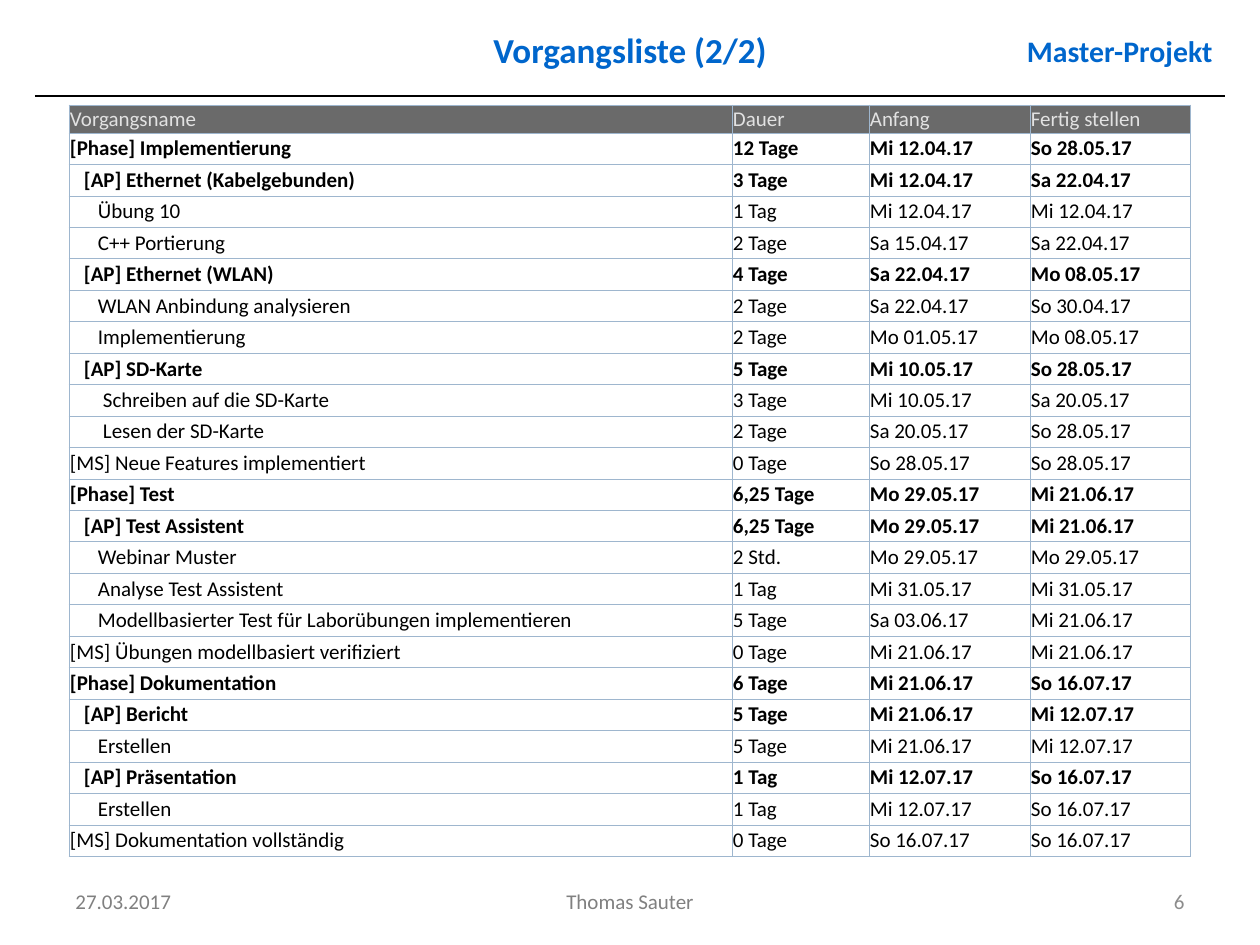
"""Builds the task list slide (2/2) of the Master-Projekt plan."""
import pptx
import pptx.dml.color
import pptx.enum.shapes
import pptx.enum.text
import pptx.oxml
import pptx.oxml.ns
import pptx.util

ALIGN = pptx.enum.text.PP_ALIGN
MIDDLE = pptx.enum.text.MSO_ANCHOR.MIDDLE
PX = 914400 / 126
BLUE, GREY, BLACK, WHITE = "0066CC", "808080", "000000", "FFFFFF"
HEADER_FILL, HEADER_TEXT, BORDER = "6A6A6A", "E2E2E2", "9EB6CE"

COLUMNS = [("Vorgangsname", 663), ("Dauer", 137), ("Anfang", 161), ("Fertig stellen", 160)]
AP, STEP, CARD_STEP = 14, 28, 33
TASKS = [
    (0, "[Phase] Implementierung", "12 Tage", "Mi 12.04.17", "So 28.05.17"),
    (AP, "[AP] Ethernet (Kabelgebunden)", "3 Tage", "Mi 12.04.17", "Sa 22.04.17"),
    (STEP, "Übung 10", "1 Tag", "Mi 12.04.17", "Mi 12.04.17"),
    (STEP, "C++ Portierung", "2 Tage", "Sa 15.04.17", "Sa 22.04.17"),
    (AP, "[AP] Ethernet (WLAN)", "4 Tage", "Sa 22.04.17", "Mo 08.05.17"),
    (STEP, "WLAN Anbindung analysieren", "2 Tage", "Sa 22.04.17", "So 30.04.17"),
    (STEP, "Implementierung", "2 Tage", "Mo 01.05.17", "Mo 08.05.17"),
    (AP, "[AP] SD-Karte", "5 Tage", "Mi 10.05.17", "So 28.05.17"),
    (CARD_STEP, "Schreiben auf die SD-Karte", "3 Tage", "Mi 10.05.17", "Sa 20.05.17"),
    (CARD_STEP, "Lesen der SD-Karte", "2 Tage", "Sa 20.05.17", "So 28.05.17"),
    (0, "[MS] Neue Features implementiert", "0 Tage", "So 28.05.17", "So 28.05.17"),
    (0, "[Phase] Test", "6,25 Tage", "Mo 29.05.17", "Mi 21.06.17"),
    (AP, "[AP] Test Assistent", "6,25 Tage", "Mo 29.05.17", "Mi 21.06.17"),
    (STEP, "Webinar Muster", "2 Std.", "Mo 29.05.17", "Mo 29.05.17"),
    (STEP, "Analyse Test Assistent", "1 Tag", "Mi 31.05.17", "Mi 31.05.17"),
    (STEP, "Modellbasierter Test für Laborübungen implementieren", "5 Tage",
     "Sa 03.06.17", "Mi 21.06.17"),
    (0, "[MS] Übungen modellbasiert verifiziert", "0 Tage", "Mi 21.06.17", "Mi 21.06.17"),
    (0, "[Phase] Dokumentation", "6 Tage", "Mi 21.06.17", "So 16.07.17"),
    (AP, "[AP] Bericht", "5 Tage", "Mi 21.06.17", "Mi 12.07.17"),
    (STEP, "Erstellen", "5 Tage", "Mi 21.06.17", "Mi 12.07.17"),
    (AP, "[AP] Präsentation", "1 Tag", "Mi 12.07.17", "So 16.07.17"),
    (STEP, "Erstellen", "1 Tag", "Mi 12.07.17", "So 16.07.17"),
    (0, "[MS] Dokumentation vollständig", "0 Tage", "So 16.07.17", "So 16.07.17"),
]


def emu(px):
    return pptx.util.Emu(round(px * PX))


def rgb(color):
    return pptx.dml.color.RGBColor.from_string(color)


def write(tf, text, size=12, color=BLACK, bold=False, align=ALIGN.LEFT, indent=0):
    p = tf.paragraphs[0]
    p.alignment = align
    if indent:
        p._p.get_or_add_pPr().set("marL", str(emu(indent)))
    r = p.add_run()
    r.text = text
    r.font.name = "Calibri"
    r.font.size = pptx.util.Pt(size)
    r.font.bold = bold
    r.font.color.rgb = rgb(color)


class Deck:
    def __init__(self, prs):
        self.prs = prs
        self.s = prs.slides.add_slide(prs.slide_layouts[5])

    def title(self, text, x, y, w, h, **style):
        sp = self.s.shapes.title
        sp.left, sp.top, sp.width, sp.height = map(emu, (x, y, w, h))
        self.fill_frame(sp.text_frame, text, **style)

    def text(self, text, x, y, w, h, **style):
        sp = self.s.shapes.add_textbox(*map(emu, (x, y, w, h)))
        self.fill_frame(sp.text_frame, text, **style)

    def fill_frame(self, tf, text, **style):
        tf.word_wrap = True
        tf.auto_size = pptx.enum.text.MSO_AUTO_SIZE.NONE
        tf.vertical_anchor = MIDDLE
        write(tf, text, **style)

    def line(self, x1, y1, x2, y2, color=BLACK, width=0.75):
        sp = self.s.shapes.add_connector(
            pptx.enum.shapes.MSO_CONNECTOR.STRAIGHT, *map(emu, (x1, y1, x2, y2)))
        sp.line.color.rgb = rgb(color)
        sp.line.width = pptx.util.Pt(width)
        sp._element.spPr.append(pptx.oxml.parse_xml(
            f'<a:effectLst {pptx.oxml.ns.nsdecls("a")}/>'))

    def cell(self, cell, text, fill, **style):
        cell.margin_left = cell.margin_right = cell.margin_top = cell.margin_bottom = emu(1)
        cell.vertical_anchor = MIDDLE
        tc_pr = cell._tc.get_or_add_tcPr()
        for side in "LRTB":
            tc_pr.append(pptx.oxml.parse_xml(
                f'<a:ln{side} {pptx.oxml.ns.nsdecls("a")} w="{pptx.util.Pt(0.5)}">'
                f'<a:solidFill><a:srgbClr val="{BORDER}"/></a:solidFill></a:ln{side}>'))
        cell.fill.solid()
        cell.fill.fore_color.rgb = rgb(fill)
        write(cell.text_frame, text, **style)

    def task_table(self, x, y, header_h, body_h):
        width = sum(w for _, w in COLUMNS)
        table = self.s.shapes.add_table(
            len(TASKS) + 1, len(COLUMNS), *map(emu, (x, y, width, header_h + body_h))).table
        table.horz_banding = False
        for row in table.rows:
            row.height = emu(body_h / len(TASKS))
        table.rows[0].height = emu(header_h)
        for c, (name, w) in enumerate(COLUMNS):
            table.columns[c].width = emu(w)
            self.cell(table.cell(0, c), name, HEADER_FILL, color=HEADER_TEXT)
        for r, (indent, *values) in enumerate(TASKS, 1):
            bold = values[0].startswith(("[Phase]", "[AP]"))
            for c, value in enumerate(values):
                self.cell(table.cell(r, c), value, WHITE, bold=bold,
                          indent=0 if c else indent)


def main():
    prs = pptx.Presentation()
    prs.slide_width, prs.slide_height = emu(1260), emu(945)
    deck = Deck(prs)
    deck.line(35, 96, 1225, 96)
    deck.title("Vorgangsliste (2/2)", 268, 25, 724, 50,
               size=20, color=BLUE, bold=True, align=ALIGN.CENTER)
    deck.text("Master-Projekt", 1007, 23, 218, 55,
              size=17, color=BLUE, bold=True, align=ALIGN.RIGHT)
    deck.task_table(69, 105, 28, 724)
    deck.text("27.03.2017", 63, 876, 294, 50, color=GREY)
    deck.text("Thomas Sauter", 430, 876, 400, 50, color=GREY, align=ALIGN.CENTER)
    deck.text("6", 903, 876, 294, 50, color="8C8C8C", align=ALIGN.RIGHT)
    prs.save("out.pptx")


if __name__ == "__main__":
    main()
